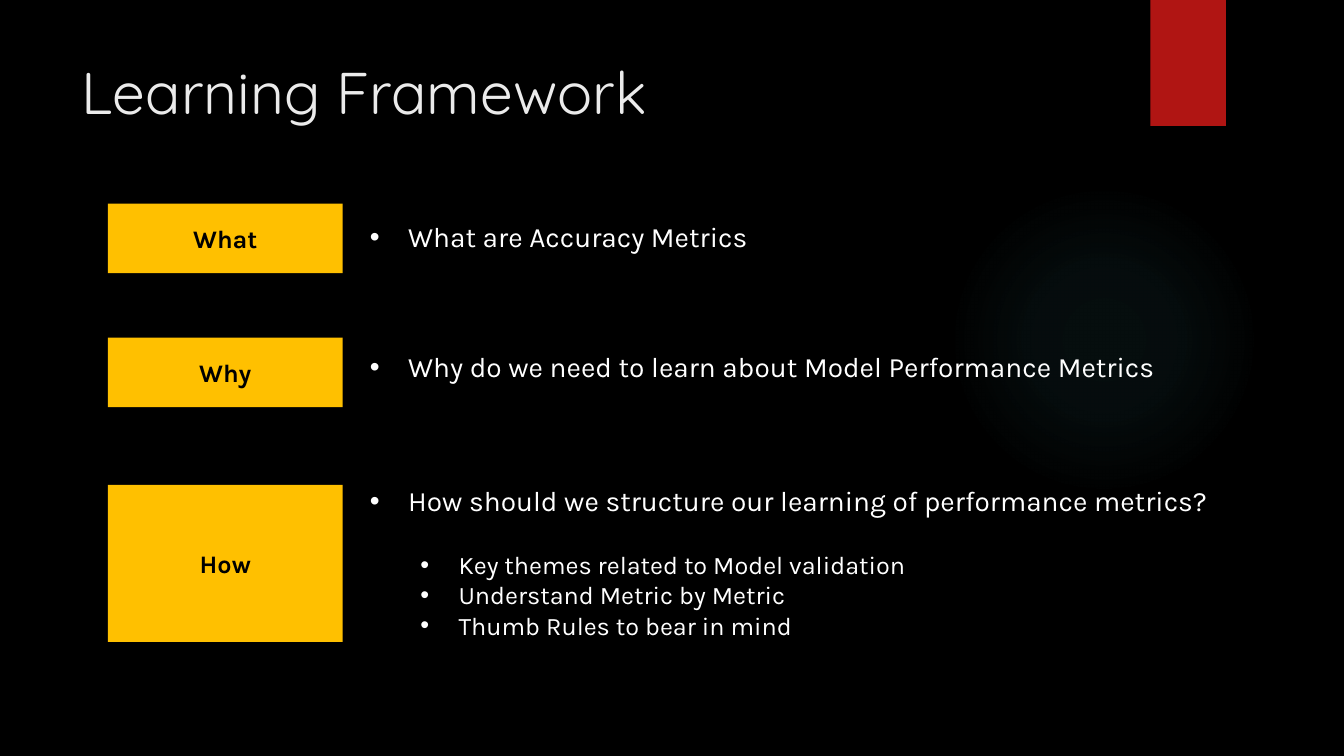
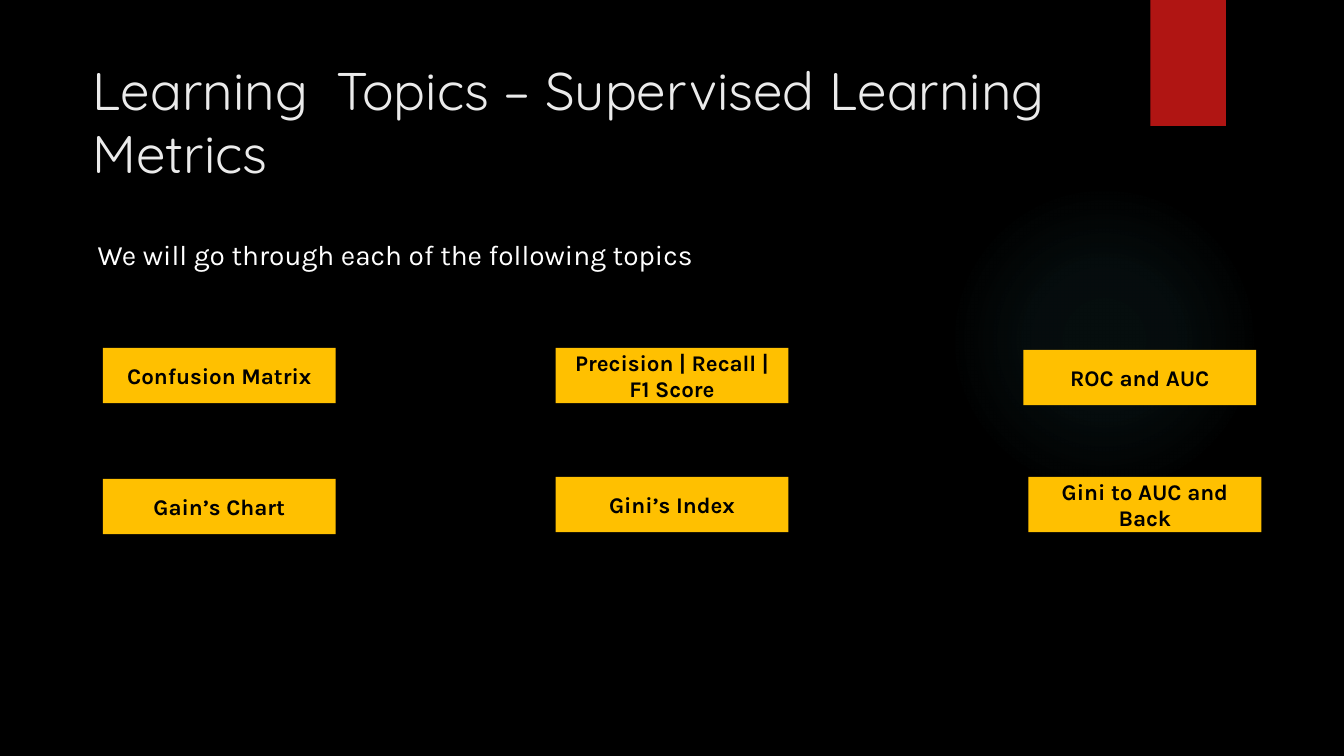
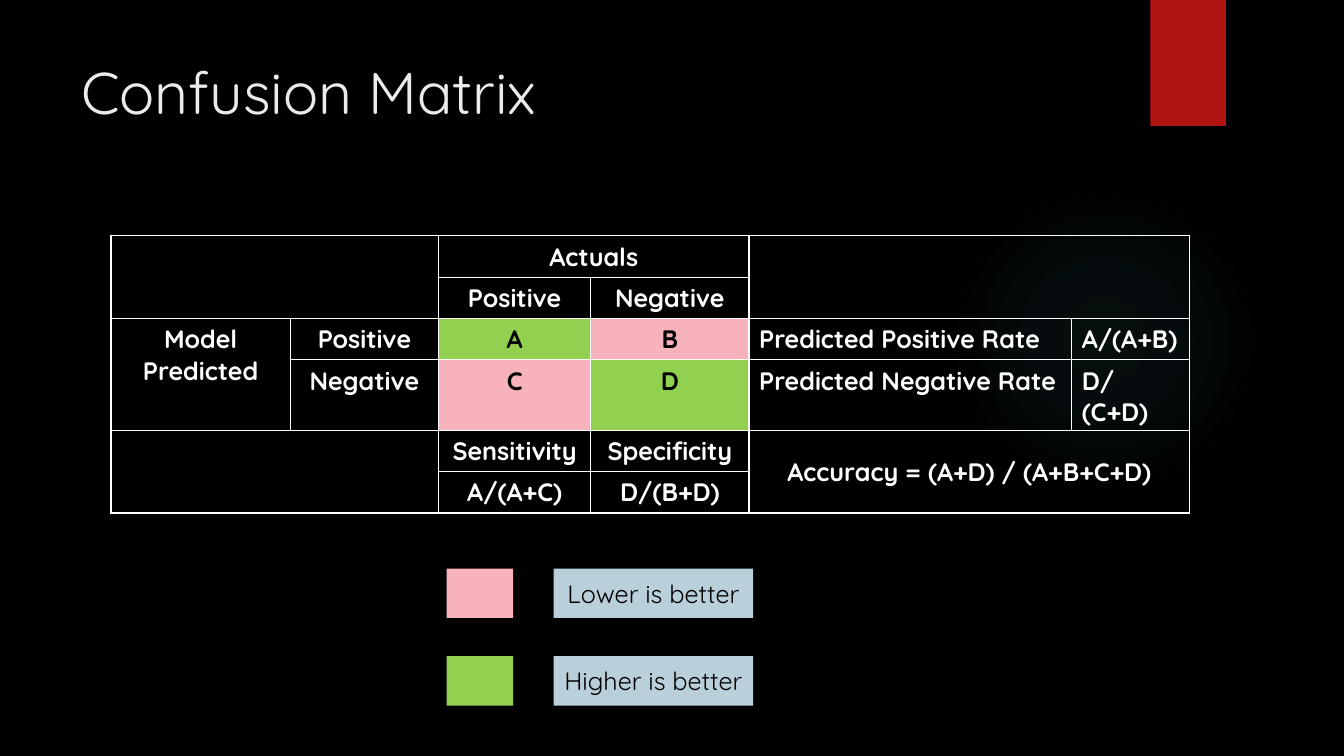
from itertools import product

from lxml import etree
from pptx import Presentation
from pptx import util as u
from pptx.dml.color import RGBColor
from pptx.enum import shapes, text
from pptx.oxml import parse_xml
from pptx.oxml.ns import nsdecls, qn

# Theme
BLACK, WHITE, TITLE = "000000", "FFFFFF", "EBEBEB"
RED, AMBER, GLOW = "B01513", "FFC000", "50B9C1"
GREEN, PINK, BLUE = "92D050", "F8B2BC", "B9CFD9"
HEAD, BODY = "Quicksand", "Karla"
CENTER, LEFT = text.PP_ALIGN.CENTER, text.PP_ALIGN.LEFT
TOP, MIDDLE = text.MSO_ANCHOR.TOP, text.MSO_ANCHOR.MIDDLE
INDENT = 0.38
GLOW_STOPS = [(0, 7), (36, 6), (69, 0)]  # position %, opacity %

# Framework: label, box top, box height, text top, question, sub-points
FRAMEWORK = [
    ("What", 2.02, 0.69, 2.13, "What are Accuracy Metrics", []),
    ("Why", 3.35, 0.69, 3.42,
     "Why do we need to learn about Model Performance Metrics", []),
    ("How", 4.81, 1.56, 4.75,
     "How should we structure our learning of performance metrics?",
     ["Key themes related to Model validation",
      "Understand Metric by Metric", "Thumb Rules to bear in mind"]),
]

# Topics: lines of text, left, top
TOPICS = [
    (["Confusion Matrix"], 1.02, 3.45),
    (["Precision | Recall |", "F1 Score"], 5.51, 3.45),
    (["ROC and AUC"], 10.15, 3.47),
    (["Gain’s Chart"], 1.02, 4.75),
    (["Gini’s Index"], 5.51, 4.73),
    (["Gini to AUC and Back"], 10.2, 4.73),
]

# Confusion matrix
COLUMNS = [1.78, 1.47, 1.51, 1.57, 3.2, 1.17]
ROW = 0.41
MATRIX = [
    ["", "", "Actuals", "", "", ""],
    ["", "", "Positive", "Negative", "", ""],
    ["Model Predicted", "Positive", "A", "B", "Predicted Positive Rate", "A/(A+B)"],
    ["", "Negative", "C", "D", "Predicted Negative Rate", "D/(C+D)"],
    ["", "", "Sensitivity", "Specificity", "Accuracy = (A+D) / (A+B+C+D)", ""],
    ["", "", "A/(A+C)", "D/(B+D)", "", ""],
]
MERGES = [(0, 0, 1, 1), (0, 2, 0, 3), (0, 4, 1, 5), (2, 0, 3, 0),
          (4, 0, 5, 1), (4, 4, 5, 5)]
CELL_FILLS = {"A": GREEN, "D": GREEN, "B": PINK, "C": PINK}
LEGEND = [(PINK, "Lower is better"), (GREEN, "Higher is better")]


def rgb(value):
    return RGBColor.from_string(value)


def write(tf, lines, size=18, font=BODY, color=WHITE, bold=False, align=LEFT,
          anchor=TOP):
    """Fill a text frame with one paragraph per line."""
    tf.word_wrap = True
    tf.vertical_anchor = anchor
    for i, line in enumerate(lines):
        p = tf.paragraphs[0] if i == 0 else tf.add_paragraph()
        p.alignment = align
        r = p.add_run()
        r.text = line
        r.font.size, r.font.name, r.font.bold = u.Pt(size), font, bold
        r.font.color.rgb = rgb(color)
    return tf


def bullet(p, left):
    pPr = p._p.get_or_add_pPr()
    pPr.set("marL", str(u.Inches(left)))
    pPr.set("indent", str(-u.Inches(INDENT)))
    etree.SubElement(pPr, qn("a:buFont")).set("typeface", "Arial")
    etree.SubElement(pPr, qn("a:buChar")).set("char", "•")


def box(slide, left, top, width, height, fill, kind=shapes.MSO_SHAPE.RECTANGLE):
    sp = slide.shapes.add_shape(kind, *map(u.Inches, (left, top, width, height)))
    sp.shadow.inherit = False
    sp.fill.solid()
    sp.fill.fore_color.rgb = rgb(fill)
    sp.line.fill.background()
    return sp


def label(slide, left, top, width, height, fill, lines, **fmt):
    sp = box(slide, left, top, width, height, fill)
    write(sp.text_frame, lines, color=BLACK, align=CENTER, anchor=MIDDLE, **fmt)


def textbox(slide, left, top, width, height, lines, **fmt):
    sp = slide.shapes.add_textbox(*map(u.Inches, (left, top, width, height)))
    return write(sp.text_frame, lines, **fmt)


def glow(slide):
    sp = box(slide, 9.41, 1.83, 3.08, 3.08, GLOW, shapes.MSO_SHAPE.OVAL)
    stops = "".join(
        f'<a:gs pos="{pos * 1000}"><a:srgbClr val="{GLOW}">'
        f'<a:alpha val="{alpha * 1000}"/></a:srgbClr></a:gs>'
        for pos, alpha in GLOW_STOPS)
    gradient = parse_xml(
        f'<a:gradFill {nsdecls("a")}><a:gsLst>{stops}</a:gsLst>'
        '<a:path path="circle"><a:fillToRect l="50000" t="50000" r="50000" '
        'b="50000"/></a:path></a:gradFill>')
    spPr = sp._element.spPr
    spPr.replace(spPr.find(qn("a:solidFill")), gradient)


def new_slide(prs, title, left=0.71, top=0.5, width=10.29, size=42):
    """Blank slide with the shared background, glow, red tab and title."""
    slide = prs.slides.add_slide(prs.slide_layouts[6])
    glow(slide)
    box(slide, 11.41, 0, 0.75, 1.25, RED)
    textbox(slide, left, top, width, 1.5, [title], size=size, font=HEAD, color=TITLE)
    return slide


def border(cell):
    tcPr = cell._tc.get_or_add_tcPr()
    for side in "LRTB":
        tcPr.append(parse_xml(
            f'<a:ln{side} {nsdecls("a")} w="{u.Pt(1)}"><a:solidFill>'
            f'<a:srgbClr val="{WHITE}"/></a:solidFill></a:ln{side}>'))


def framework_slide(prs):
    slide = new_slide(prs, "Learning Framework")
    for name, top, height, text_top, question, points in FRAMEWORK:
        label(slide, 1.07, top, 2.33, height, AMBER, [name], bold=True)
        tf = textbox(slide, 3.57, text_top, 9.44, 0.44, [question, *points], size=20)
        for i, p in enumerate(tf.paragraphs):
            bullet(p, INDENT + (0.5 if i else 0))
            if i:
                p.runs[0].font.size = u.Pt(18)
            if i == 1:
                p.space_before = u.Pt(23)


def topics_slide(prs):
    slide = new_slide(prs, "Learning  Topics – Supervised Learning Metrics",
                      left=0.82, top=0.52, width=11.5, size=37.8)
    textbox(slide, 0.87, 2.31, 11.59, 0.44,
            ["We will go through each of the following topics"], size=20)
    for lines, left, top in TOPICS:
        label(slide, left, top, 2.31, 0.55, AMBER, lines, size=16, bold=True)


def matrix_slide(prs):
    slide = new_slide(prs, "Confusion Matrix")
    rows, cols = len(MATRIX), len(COLUMNS)
    table = slide.shapes.add_table(
        rows, cols, u.Inches(1.1), u.Inches(2.34),
        u.Inches(sum(COLUMNS)), u.Inches(rows * ROW)).table
    table.first_row = table.horz_banding = False
    for column, width in zip(table.columns, COLUMNS):
        column.width = u.Inches(width)
    for row in table.rows:
        row.height = u.Inches(ROW)
    for r, c in product(range(rows), range(cols)):
        cell, words = table.cell(r, c), MATRIX[r][c]
        border(cell)
        fill = CELL_FILLS.get(words)
        if fill:
            cell.fill.solid()
            cell.fill.fore_color.rgb = rgb(fill)
        else:
            cell.fill.background()
        if words:
            rate = c >= 4 and r in (2, 3)
            write(cell.text_frame, [words], font=HEAD, bold=True,
                  color=BLACK if fill else WHITE, align=LEFT if rate else CENTER)
        cell.vertical_anchor = MIDDLE if words.startswith("Accuracy") else TOP
    for r1, c1, r2, c2 in MERGES:
        table.cell(r1, c1).merge(table.cell(r2, c2))

    # Legend
    for i, (color, meaning) in enumerate(LEGEND):
        top = 5.64 + i * 0.87
        box(slide, 4.43, top, 0.66, 0.49, color)
        label(slide, 5.49, top, 1.98, 0.49, BLUE, [meaning], font=HEAD)


def main():
    prs = Presentation()
    prs.slide_width, prs.slide_height = u.Inches(13.33), u.Inches(7.5)
    background = prs.slide_master.background.fill
    background.solid()
    background.fore_color.rgb = rgb(BLACK)
    framework_slide(prs)
    topics_slide(prs)
    matrix_slide(prs)
    prs.save("out.pptx")


if __name__ == "__main__":
    main()
